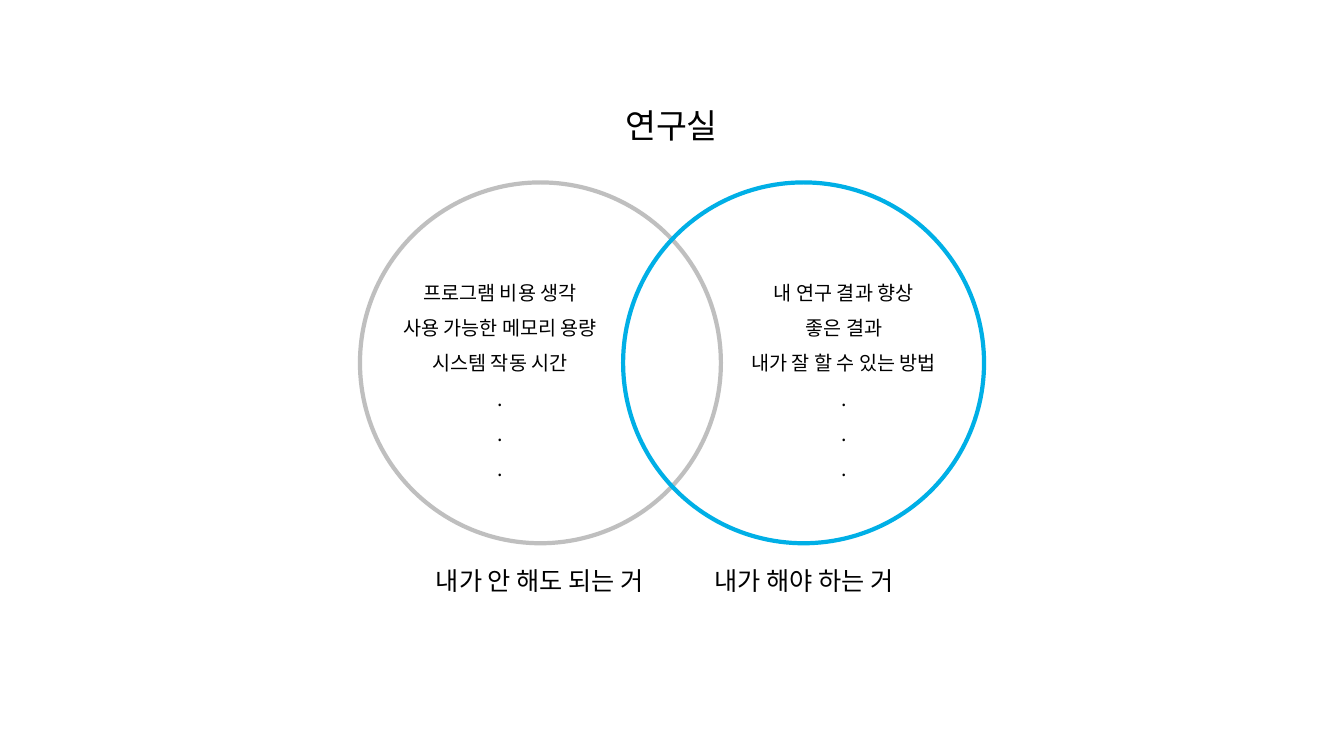
"""Builds a two-circle comparison slide about work in a research lab."""
from dataclasses import dataclass

from lxml import etree
from pptx import Presentation
from pptx.dml.color import RGBColor
from pptx.enum.shapes import MSO_SHAPE
from pptx.enum.text import MSO_AUTO_SIZE, PP_ALIGN
from pptx.oxml.ns import qn
from pptx.slide import Slide
from pptx.util import Emu, Pt

OVAL = MSO_SHAPE.OVAL
CENTER = PP_ALIGN.CENTER
GROW = MSO_AUTO_SIZE.SHAPE_TO_FIT_TEXT
FONT = "Noto Sans CJK KR"
EMU_PER_PX = 9144
BLANK_LAYOUT = 6
CIRCLE_TOP = 181
DIAMETER = 358
DOTS = (".",) * 3


@dataclass(frozen=True)
class Circle:
    left: int
    line_color: str


@dataclass(frozen=True)
class Label:
    left: int
    top: int
    width: int
    height: int
    size: int
    lines: tuple[str, ...]
    spacing: float = 1.0


CIRCLES = (Circle(357, "BFBFBF"), Circle(618, "00AFE6"))
LABELS = (
    Label(274, 79, 784, 66, 24, ("연구실",), 1.5),
    Label(399, 556, 273, 40, 18, ("내가 안 해도 되는 거",)),
    Label(661, 556, 273, 40, 18, ("내가 해야 하는 거",)),
    Label(374, 262, 244, 255, 14,
          ("프로그램 비용 생각", "사용 가능한 메모리 용량", "시스템 작동 시간") + DOTS, 1.5),
    Label(715, 262, 244, 219, 14,
          ("내 연구 결과 향상", "좋은 결과", "내가 잘 할 수 있는 방법") + DOTS, 1.5),
)


def px(length: int) -> Emu:
    """Turns pixels into EMU."""
    return Emu(length * EMU_PER_PX)


def color(value: str) -> RGBColor:
    """Reads a hex colour."""
    return RGBColor.from_string(value)


def draw_circle(page: Slide, circle: Circle) -> None:
    """Draws one outlined circle."""
    shape = page.shapes.add_shape(
        OVAL, px(circle.left), px(CIRCLE_TOP), px(DIAMETER), px(DIAMETER))
    shape.shadow.inherit = False
    shape.fill.background()
    shape.line.color.rgb = color(circle.line_color)
    shape.line.width = Pt(3)


def draw_label(page: Slide, label: Label) -> None:
    """Draws one centred text box."""
    box = page.shapes.add_textbox(
        px(label.left), px(label.top), px(label.width), px(label.height))
    frame = box.text_frame
    frame.word_wrap = True
    frame.auto_size = GROW
    frame.text = "\n".join(label.lines)
    for para in frame.paragraphs:
        para.alignment = CENTER
        para.line_spacing = label.spacing
        para.font.size = Pt(label.size)
        para.font.color.rgb = color("000000")
        para.font.name = FONT
        defaults = para._p.pPr.find(qn("a:defRPr"))
        etree.SubElement(defaults, qn("a:ea")).set("typeface", FONT)


def main() -> None:
    """Builds and saves the deck."""
    deck = Presentation()
    deck.slide_width, deck.slide_height = px(1333), px(750)
    page = deck.slides.add_slide(deck.slide_layouts[BLANK_LAYOUT])
    for circle in CIRCLES:
        draw_circle(page, circle)
    for label in LABELS:
        draw_label(page, label)
    deck.save("out.pptx")


if __name__ == "__main__":
    main()
